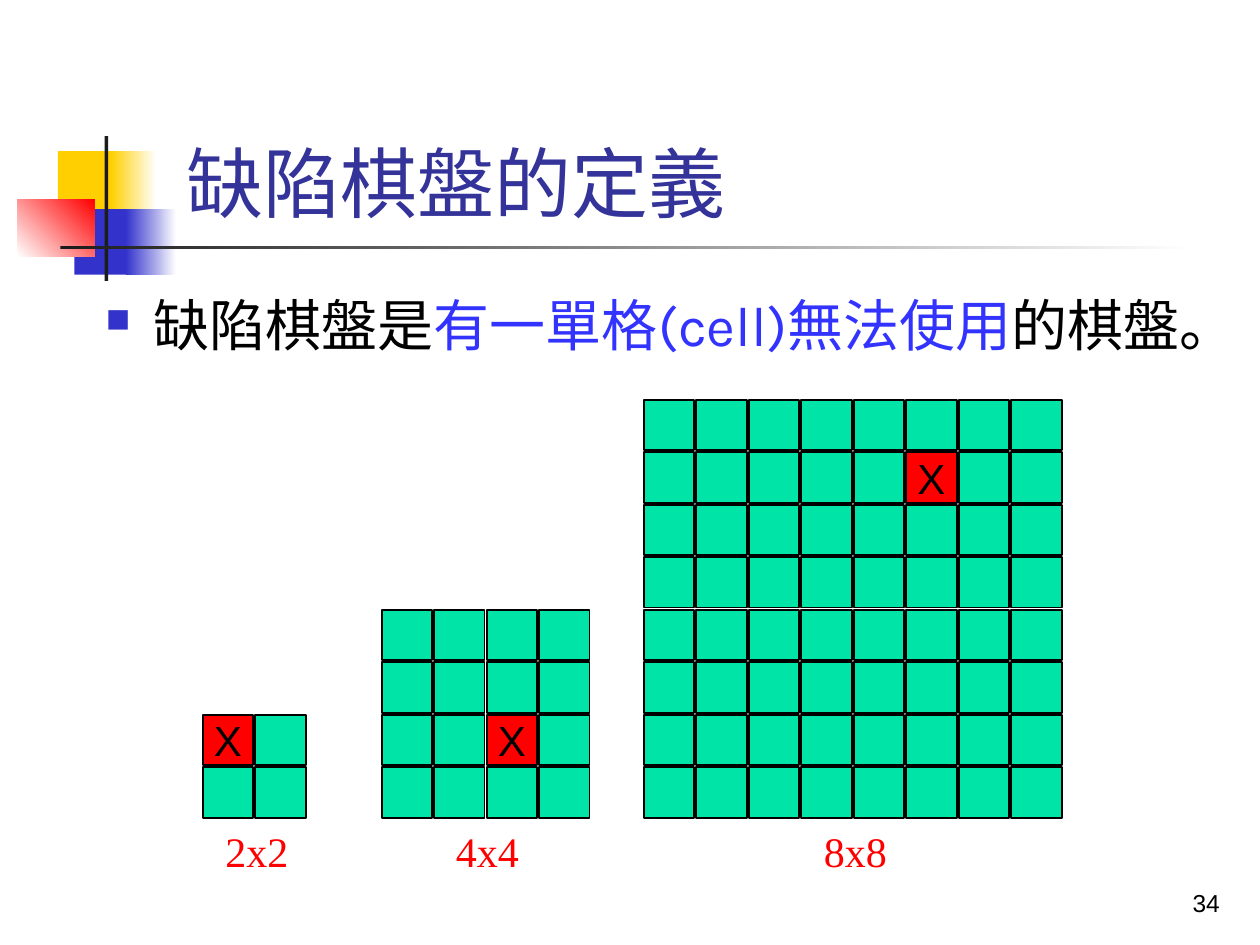
from lxml import etree
from pptx import Presentation
from pptx.dml.color import RGBColor
from pptx.enum.shapes import MSO_SHAPE
from pptx.enum.text import MSO_ANCHOR, PP_ALIGN
from pptx.oxml.ns import qn
from pptx.util import Inches, Pt

RECTANGLE = MSO_SHAPE.RECTANGLE
TOP, MIDDLE, BOTTOM = MSO_ANCHOR.TOP, MSO_ANCHOR.MIDDLE, MSO_ANCHOR.BOTTOM
LEFT, CENTER, RIGHT = PP_ALIGN.LEFT, PP_ALIGN.CENTER, PP_ALIGN.RIGHT

BLACK = RGBColor(0x00, 0x00, 0x00)
WHITE = RGBColor(0xFF, 0xFF, 0xFF)
RED = RGBColor(0xFF, 0x00, 0x00)
GREEN = RGBColor(0x00, 0xE4, 0xA8)
YELLOW = RGBColor(0xFF, 0xCF, 0x01)
BLUE = RGBColor(0x33, 0x33, 0xCC)
HIGHLIGHT = RGBColor(0x33, 0x33, 0xFF)
TITLE_BLUE = RGBColor(0x33, 0x33, 0x99)
CHARCOAL = RGBColor(0x1C, 0x1C, 0x1C)

CELL = 0.4
PITCH = 5 / 12
BOTTOM_ROW = 6.09

# left, top, width, height, gradient start, gradient end, angle
DECORATIONS = [
    (0.46, 1.2, 0.48, 0.52, YELLOW, YELLOW, 0),
    (0.88, 1.2, 0.36, 0.52, YELLOW, WHITE, 0),
    (0.59, 1.66, 0.46, 0.52, BLUE, BLUE, 0),
    (1, 1.66, 0.4, 0.52, BLUE, WHITE, 0),
    (0.14, 1.58, 0.61, 0.46, WHITE, RED, 45),
    (0.83, 1.08, 0.03, 1.15, CHARCOAL, CHARCOAL, 0),
    (0.48, 1.95, 9, 0.03, CHARCOAL, WHITE, 0),
]

# size, left, defective row from the top, defective column, label left
BOARDS = [
    (2, 1.61, 0, 0, 1.69),
    (4, 3.03, 2, 2, 3.52),
    (8, 5.11, 1, 5, 6.44),
]


def add_run(paragraph, text, size, font_name, color):
    run = paragraph.add_run()
    run.text = text
    run.font.size = Pt(size)
    run.font.name = font_name
    run.font.color.rgb = color


def add_text(shapes, box, runs, size, font_name, anchor=TOP, alignment=LEFT):
    """Add a text box from (text, color) runs and return its paragraph."""
    text_frame = shapes.add_textbox(*map(Inches, box)).text_frame
    text_frame.word_wrap = True
    text_frame.vertical_anchor = anchor
    paragraph = text_frame.paragraphs[0]
    paragraph.alignment = alignment
    for text, color in runs:
        add_run(paragraph, text, size, font_name, color)
    return paragraph


def add_rectangle(shapes, left, top, width, height):
    shape = shapes.add_shape(RECTANGLE, *map(Inches, (left, top, width, height)))
    shape.shadow.inherit = False
    return shape


def add_decoration(shapes, left, top, width, height, start, end, angle):
    shape = add_rectangle(shapes, left, top, width, height)
    shape.line.fill.background()
    if start == end:
        shape.fill.solid()
        shape.fill.fore_color.rgb = start
        return
    shape.fill.gradient()
    shape.fill.gradient_angle = angle
    for stop, color in zip(shape.fill.gradient_stops, (start, end)):
        stop.color.rgb = color


def add_cell(shapes, left, top, defective):
    cell = add_rectangle(shapes, left, top, CELL, CELL)
    cell.fill.solid()
    cell.fill.fore_color.rgb = RED if defective else GREEN
    cell.line.color.rgb = BLACK
    cell.line.width = Pt(1)
    if defective:
        text_frame = cell.text_frame
        text_frame.word_wrap = False
        text_frame.vertical_anchor = MIDDLE
        paragraph = text_frame.paragraphs[0]
        paragraph.alignment = CENTER
        add_run(paragraph, "X", 24, "Arial", BLACK)


def add_board(slide, size, left, defect_row, defect_column, label_left):
    shapes = slide.shapes.add_group_shape().shapes
    top = BOTTOM_ROW - (size - 1) * PITCH
    for row in range(size):
        for column in range(size):
            defective = (row, column) == (defect_row, defect_column)
            add_cell(shapes, left + column * PITCH, top + row * PITCH, defective)
    label = add_text(shapes, (label_left, 6.5, 0.83, 0.5),
                     [(f"{size}x{size}", RED)], 24, "Times New Roman")
    label.space_before = Pt(3)


def add_bullet(paragraph, character, color, percent, indent):
    properties = paragraph._p.get_or_add_pPr()
    properties.set("marL", str(Inches(indent)))
    properties.set("indent", str(-Inches(indent)))
    bullet_color = etree.SubElement(properties, qn("a:buClr"))
    etree.SubElement(bullet_color, qn("a:srgbClr"), val=str(color))
    etree.SubElement(properties, qn("a:buSzPct"), val=str(percent * 1000))
    etree.SubElement(properties, qn("a:buChar"), char=character)


def main():
    presentation = Presentation()
    presentation.slide_width = Inches(10)
    presentation.slide_height = Inches(7.5)
    slide = presentation.slides.add_slide(presentation.slide_layouts[6])

    for decoration in DECORATIONS:
        add_decoration(slide.shapes, *decoration)

    definition = add_text(
        slide.shapes, (0.74, 2.26, 8.9, 1.33),
        [("缺陷棋盤是", BLACK), ("有一單格(cell)無法使用", HIGHLIGHT), ("的棋盤。", BLACK)],
        32, "Karla")
    add_bullet(definition, "■", BLUE, 60, 0.38)

    for board in BOARDS:
        add_board(slide, *board)

    add_text(slide.shapes, (1.38, 0.21, 7.96, 1.65),
             [("缺陷棋盤的定義", TITLE_BLUE)], 44, "Karla", BOTTOM)
    add_text(slide.shapes, (7.7, 6.83, 2.08, 0.5),
             [("34", BLACK)], 14, "Arial", BOTTOM, RIGHT)

    presentation.save("out.pptx")


if __name__ == "__main__":
    main()
